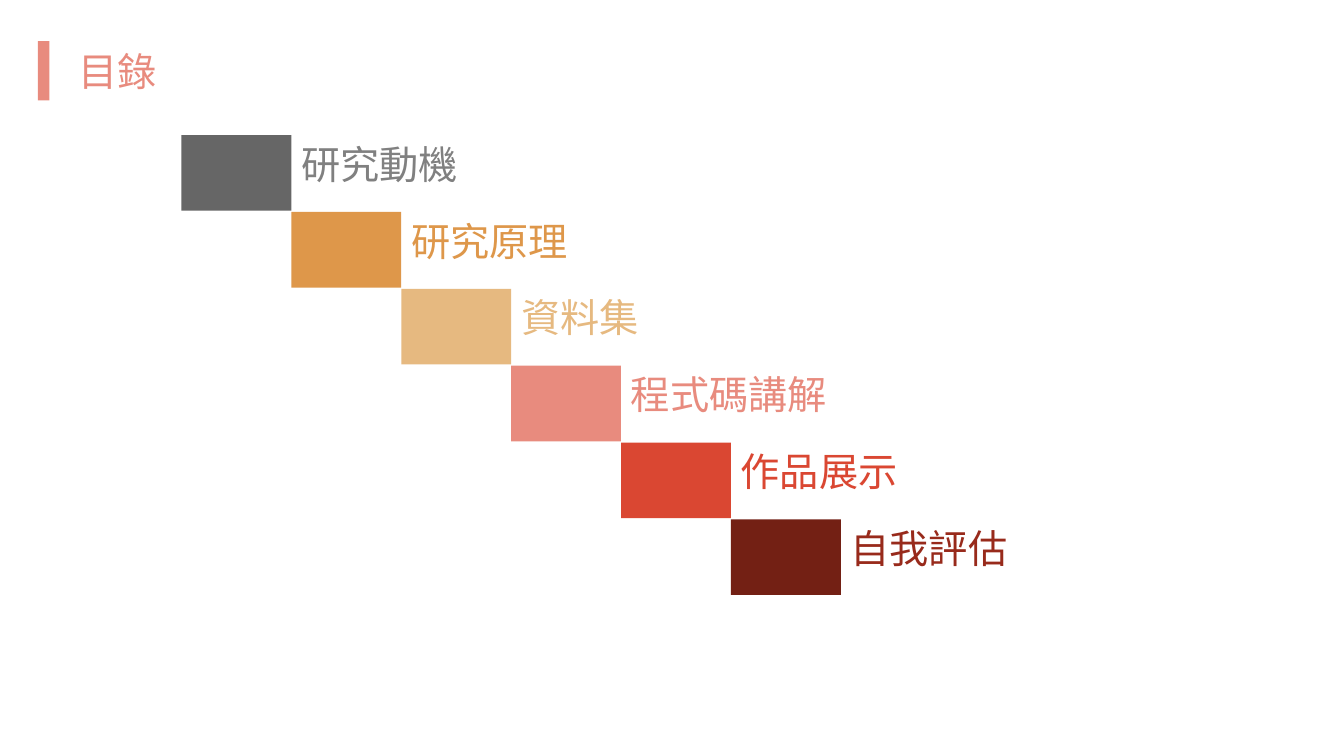
"""Build a table-of-contents slide with a staircase of coloured steps."""
from dataclasses import dataclass

from lxml import etree
from pptx import Presentation
from pptx.dml.color import RGBColor
from pptx.enum.shapes import MSO_SHAPE
from pptx.enum.text import MSO_ANCHOR, MSO_AUTO_SIZE, PP_ALIGN
from pptx.oxml.ns import qn
from pptx.shapes.autoshape import Shape
from pptx.slide import Slide
from pptx.util import Pt

RECT = MSO_SHAPE.RECTANGLE
TOP, MIDDLE = MSO_ANCHOR.TOP, MSO_ANCHOR.MIDDLE
LEFT = PP_ALIGN.LEFT
NO_FIT = MSO_AUTO_SIZE.NONE

COLOR = {
    "black": "000000",
    "gray": "808080",
    "orange": "DE974A",
    "sand": "E6B980",
    "pink": "E88B7E",
    "red": "DA4732",
    "wine": "732014",
    "brick": "982A1B",
}
FONT = "Arial"
START_X, START_Y = 129.6, 96.5
STEP_X, STEP_Y = 78.5, 54.9
STEP_H = 54


@dataclass
class Step:
    """One stair: its label, fill, text colour, label width and opacity."""

    label: str
    fill: str
    ink: str
    width: float
    alpha: int = 100


STEPS = [
    Step("研究動機", "black", "gray", 388.8, alpha=60),
    Step("研究原理", "orange", "orange", 308.9),
    Step("資料集", "sand", "sand", 422.6),
    Step("程式碼講解", "pink", "pink", 401.8),
    Step("作品展示", "red", "red", 285.1),
    Step("自我評估", "wine", "brick", 285.1),
]


def write(shape: Shape, text: str, *, ink: str, size: float = 28,
          anchor: MSO_ANCHOR = TOP) -> None:
    """Put one formatted line of text into a shape."""
    frame = shape.text_frame
    frame.word_wrap = True
    frame.auto_size = NO_FIT
    frame.vertical_anchor = anchor
    line = frame.paragraphs[0]
    line.alignment = LEFT
    run = line.add_run()
    run.text = text
    run.font.name = FONT
    run.font.size = Pt(size)
    run.font.color.rgb = RGBColor.from_string(COLOR[ink])


def block(slide: Slide, left: float, top: float, width: float, height: float,
          fill: str, alpha: int = 100) -> None:
    """Draw a plain filled rectangle."""
    shape = slide.shapes.add_shape(RECT, Pt(left), Pt(top), Pt(width), Pt(height))
    shape.shadow.inherit = False
    shape.line.fill.background()
    shape.fill.solid()
    shape.fill.fore_color.rgb = RGBColor.from_string(COLOR[fill])
    if alpha < 100:
        tint = shape.fill._xPr.find(qn("a:solidFill"))[0]
        etree.SubElement(tint, qn("a:alpha"), val=str(alpha * 1000))


def stair(slide: Slide, index: int, step: Step) -> None:
    """Draw one stair with its label on the right."""
    left = START_X + index * STEP_X
    top = START_Y + index * STEP_Y
    block(slide, left, top, STEP_X, STEP_H, step.fill, step.alpha)
    label = slide.shapes.add_textbox(
        Pt(left + STEP_X), Pt(top), Pt(step.width), Pt(STEP_H))
    write(label, step.label, ink=step.ink)


def main() -> None:
    """Build and save the slide."""
    deck = Presentation()
    deck.slide_width, deck.slide_height = Pt(960), Pt(540)
    slide = deck.slides.add_slide(deck.slide_layouts[5])
    title = slide.shapes.title
    title.left, title.top = Pt(49), Pt(18)
    title.width, title.height = Pt(845.3), Pt(65.5)
    write(title, "目錄", ink="pink", anchor=MIDDLE)
    block(slide, 27, 29.3, 8.4, 42.5, "pink")
    for index, step in enumerate(STEPS):
        stair(slide, index, step)
    deck.save("out.pptx")


if __name__ == "__main__":
    main()
